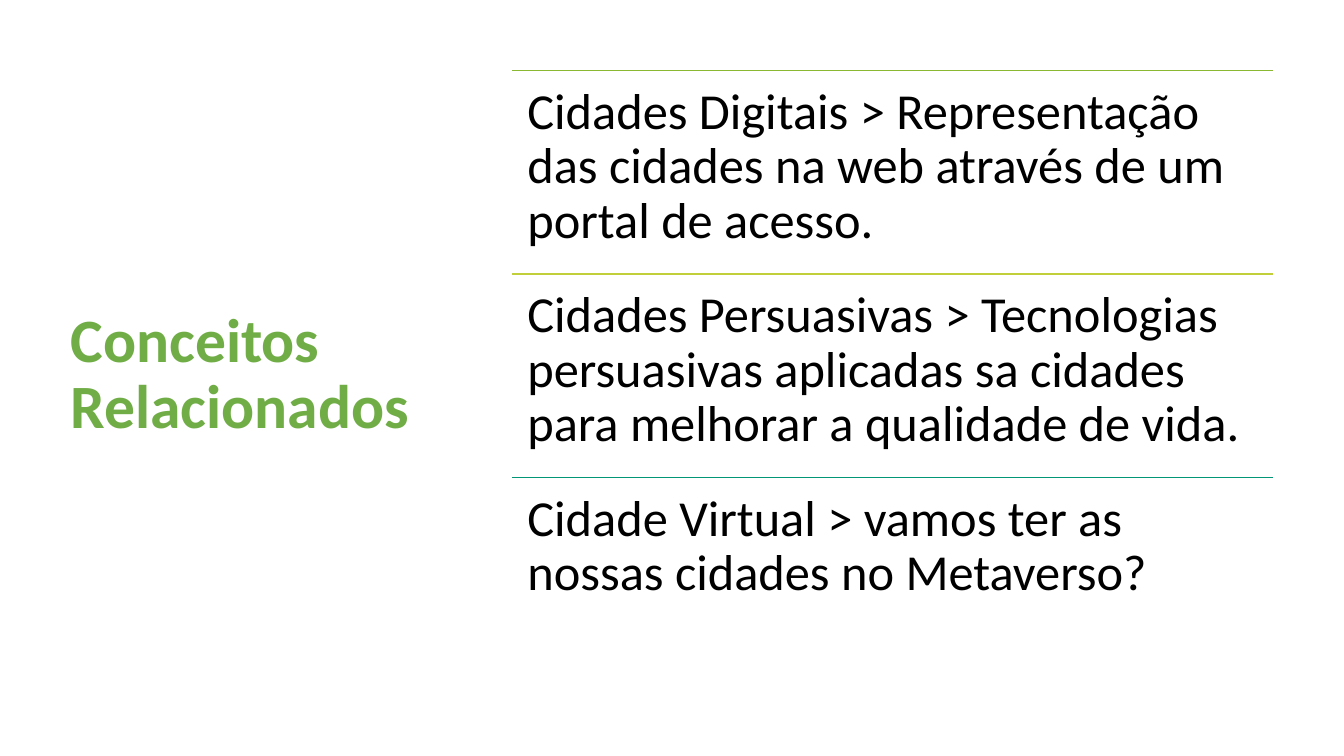
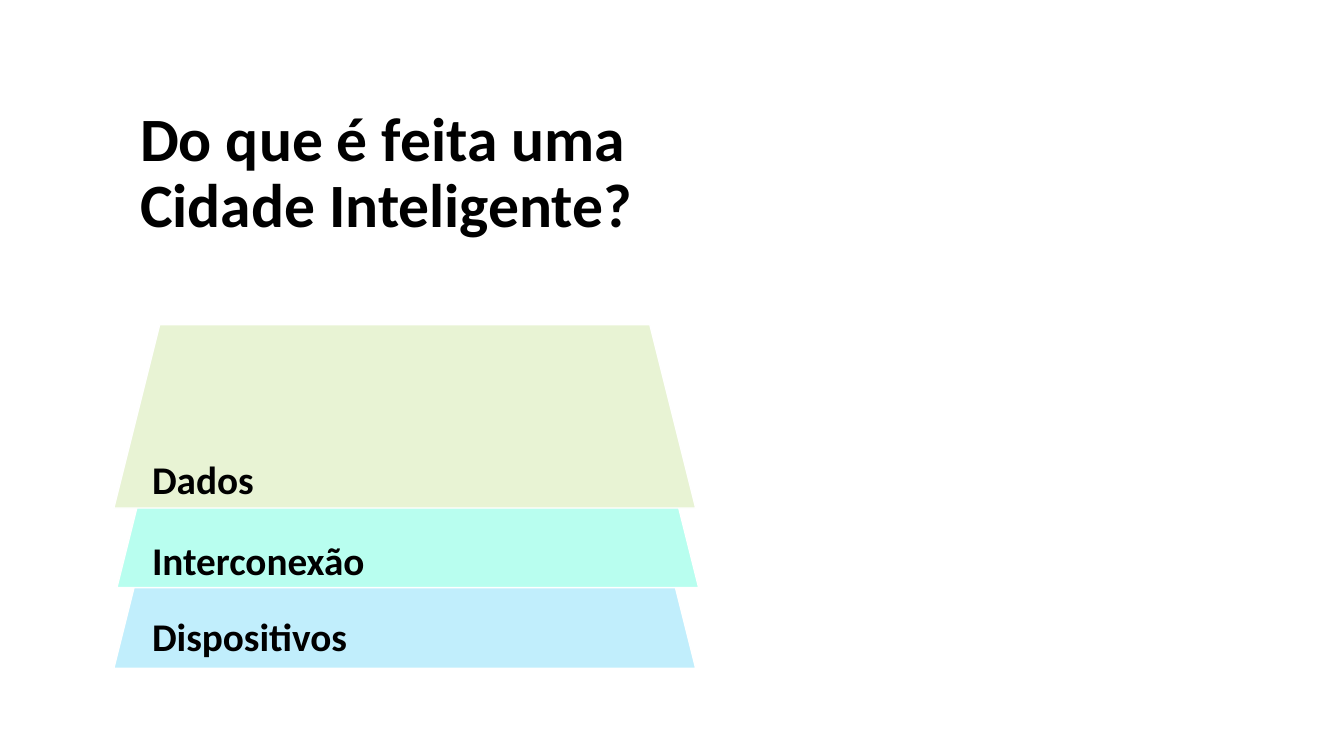
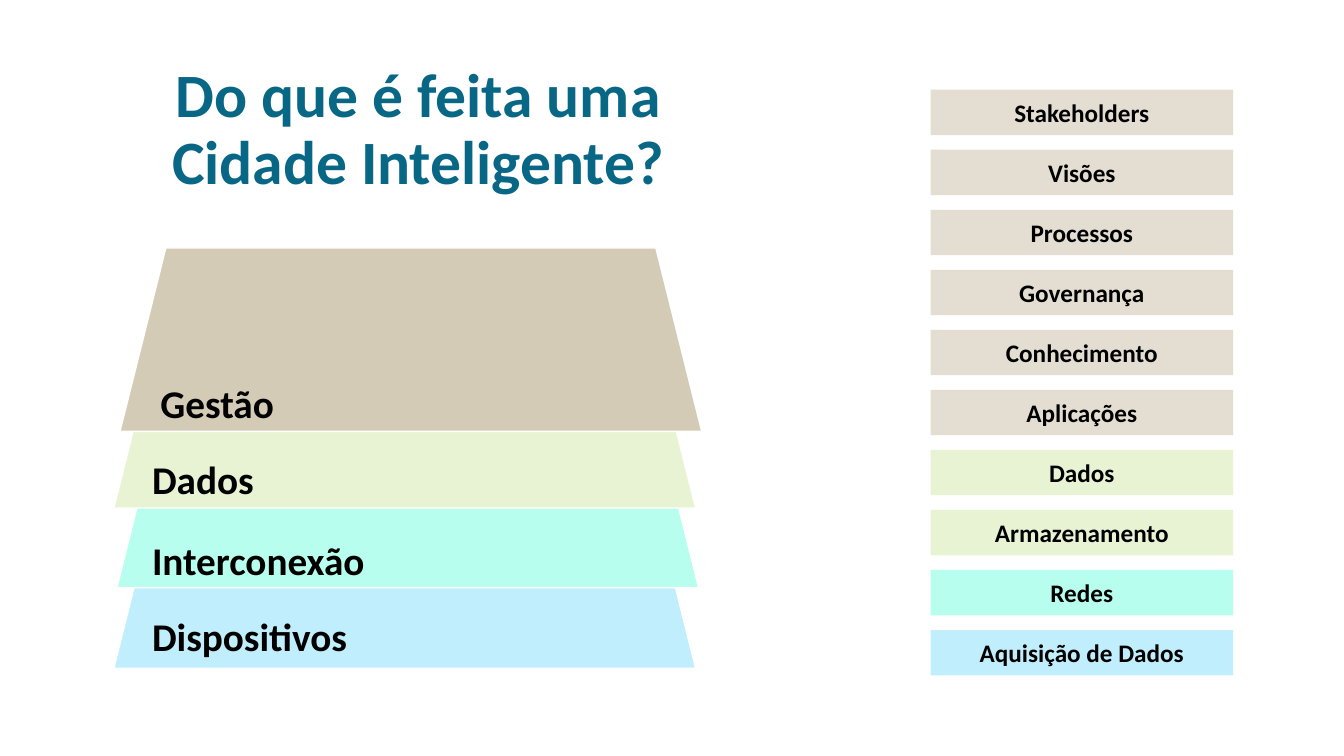
from dataclasses import dataclass

from lxml.etree import SubElement
from pptx import Presentation
from pptx.dml.color import RGBColor
from pptx.enum.shapes import MSO_CONNECTOR, MSO_SHAPE
from pptx.enum.text import MSO_ANCHOR, MSO_AUTO_SIZE, PP_ALIGN
from pptx.oxml.ns import qn
from pptx.util import Inches, Pt


@dataclass(frozen=True)
class Theme:
    font: str = "Calibri"
    title_size: int = 44
    concept_size: int = 36
    layer_size: int = 28
    bar_size: int = 18
    line_width: int = 1
    line_spacing: float = 0.9
    black: str = "000000"
    white: str = "FFFFFF"
    green: str = "70AD47"
    petrol: str = "076785"
    leaf: str = "8AB833"
    lime: str = "C0CF3A"
    teal: str = "029676"
    sky: str = "C1EEFC"
    mint: str = "B8FEEF"
    pale_green: str = "E8F3D4"
    sand: str = "D3CBB6"
    pale_sand: str = "E3DED1"


THEME = Theme()

CONCEPTS = [
    ("Cidades Digitais > Representação das cidades na web através de um portal de acesso. ", THEME.leaf),
    ("Cidades Persuasivas > Tecnologias persuasivas aplicadas sa cidades para melhorar a qualidade de vida.",
     THEME.lime),
    ("Cidade Virtual > vamos ter as nossas cidades no Metaverso?", THEME.teal),
]

# Label, colour, left and top of the layer, top of the label; relative to the stack
LAYERS = [
    ("Dispositivos", THEME.sky, 0, 1.59, 2.81),
    ("Interconexão", THEME.mint, 0.03, 0.79, 2.05),
    ("Dados", THEME.pale_green, 0, 0, 1.25),
]

BARS = [
    (THEME.pale_sand, ["Stakeholders", "Visões", "Processos", "Governança", "Conhecimento", "Aplicações"]),
    (THEME.pale_green, ["Dados", "Armazenamento"]),
    (THEME.mint, ["Redes"]),
    (THEME.sky, ["Aquisição de Dados"]),
]

QUESTION = "Do que é feita uma Cidade Inteligente?"
STACK_BOX = (1.13, 3.22, 5.77, 3.41)
LAYER_HEIGHT = 1.82


def inches(*lengths):
    return [Inches(length) for length in lengths]


def rgb(color):
    return RGBColor.from_string(color)


def write(shape, text, size, color=THEME.black, bold=True, align=PP_ALIGN.LEFT,
          anchor=MSO_ANCHOR.TOP, spacing=None):
    frame = shape.text_frame
    frame.word_wrap = True
    frame.vertical_anchor = anchor
    frame.text = text
    para = frame.paragraphs[0]
    para.alignment = align
    if spacing:
        para.line_spacing = spacing
    para.font.name = THEME.font
    para.font.size = Pt(size)
    para.font.bold = bold
    para.font.color.rgb = rgb(color)
    return frame


def add_page(deck, title, box, color, align=PP_ALIGN.LEFT):
    page = deck.slides.add_slide(deck.slide_layouts[5])
    holder = page.shapes.title
    holder.left, holder.top, holder.width, holder.height = inches(*box)
    frame = write(holder, title, THEME.title_size, color, align=align,
                  anchor=MSO_ANCHOR.MIDDLE, spacing=THEME.line_spacing)
    frame.auto_size = MSO_AUTO_SIZE.NONE
    return page


def add_filled(page, kind, box, color, outline=None):
    shape = page.shapes.add_shape(kind, *inches(*box))
    shape.shadow.inherit = False
    shape.fill.solid()
    shape.fill.fore_color.rgb = rgb(color)
    if outline:
        shape.line.color.rgb = rgb(outline)
        shape.line.width = Pt(THEME.line_width)
    else:
        shape.line.fill.background()
    return shape


def add_layer(page, left, top, width, color):
    return add_filled(page, MSO_SHAPE.TRAPEZOID, (left, top, width, LAYER_HEIGHT), color, THEME.white)


def add_rule(page, left, top, width, color):
    rule = page.shapes.add_connector(MSO_CONNECTOR.STRAIGHT, *inches(left, top, left + width, top))
    rule.line.color.rgb = rgb(color)
    rule.line.width = Pt(THEME.line_width)
    SubElement(rule._element.spPr, qn("a:effectLst"))


def add_concepts(page, box):
    """Stack equal rows, each a coloured rule above its text."""
    left, top, width, height = box
    row_height = height / len(CONCEPTS)
    for index, (text, color) in enumerate(CONCEPTS):
        row_top = top + index * row_height
        add_rule(page, left, row_top, width, color)
        row = page.shapes.add_textbox(*inches(left, row_top, width, row_height))
        frame = write(row, text, THEME.concept_size, bold=False, spacing=THEME.line_spacing)
        frame.margin_left = frame.margin_right = Inches(0.15)
        frame.margin_top = frame.margin_bottom = Inches(0.15)


def add_stack(page, box):
    """Draw the layers from the bottom up, each overlapping the one below."""
    left, top, width, _ = box
    for text, color, shift, layer_top, label_top in LAYERS:
        add_layer(page, left + shift, top + layer_top, width, color)
        label = page.shapes.add_textbox(*inches(left + 0.28, top + label_top, 3.27, 0.57))
        frame = write(label, text, THEME.layer_size)
        frame.auto_size = MSO_AUTO_SIZE.SHAPE_TO_FIT_TEXT


def add_management(page, box):
    """Cap the stack with the management layer."""
    left, top, width, _ = box
    layer = add_layer(page, left + 0.06, top - 0.76, width, THEME.sand)
    write(layer, "Gestão", THEME.layer_size, anchor=MSO_ANCHOR.BOTTOM)


def add_bars(page, box):
    """Spread the component bars evenly over the height of the box."""
    left, top, width, height = box
    bars = [(name, color) for color, names in BARS for name in names]
    bar_height = 0.45
    step = (height - bar_height) / (len(bars) - 1)
    for index, (name, color) in enumerate(bars):
        bar = add_filled(page, MSO_SHAPE.RECTANGLE, (left, top + index * step, width, bar_height), color)
        write(bar, name, THEME.bar_size, align=PP_ALIGN.CENTER, anchor=MSO_ANCHOR.MIDDLE)


def main():
    deck = Presentation()
    deck.slide_width, deck.slide_height = inches(13.33, 7.5)

    # Related concepts
    page = add_page(deck, "Conceitos Relacionados", (0.6, 2.74, 3.74, 1.97), THEME.green)
    add_concepts(page, (5.08, 0.7, 7.55, 6.06))

    # First three layers
    page = add_page(deck, QUESTION, (1.29, 0.37, 5.44, 2.72), THEME.black)
    add_stack(page, STACK_BOX)

    # All layers with their components
    page = add_page(deck, QUESTION, (1.16, -0.06, 5.98, 2.72), THEME.petrol, PP_ALIGN.CENTER)
    add_stack(page, STACK_BOX)
    add_bars(page, (9.23, 0.89, 3, 5.81))
    add_management(page, STACK_BOX)

    deck.save("out.pptx")


if __name__ == "__main__":
    main()
